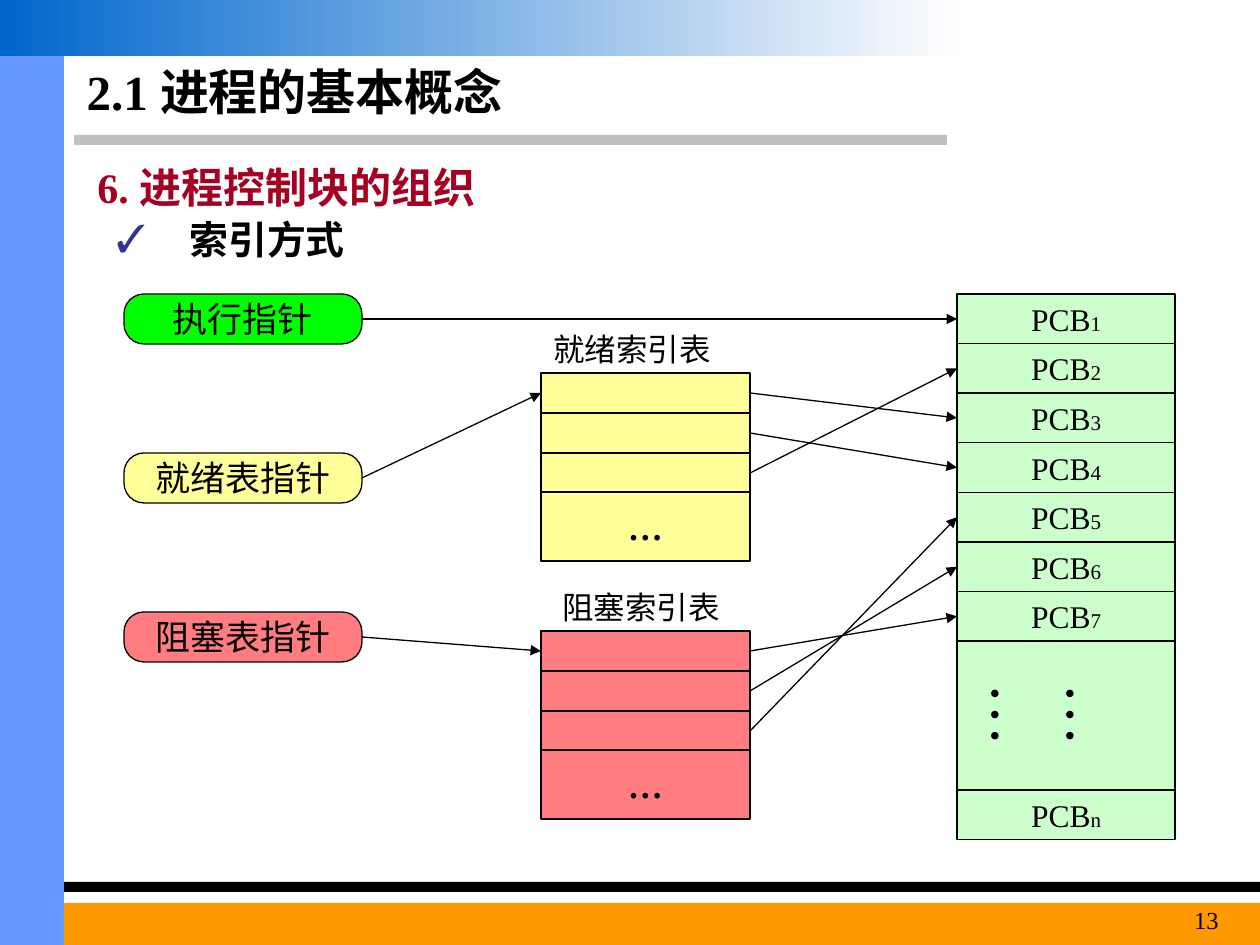
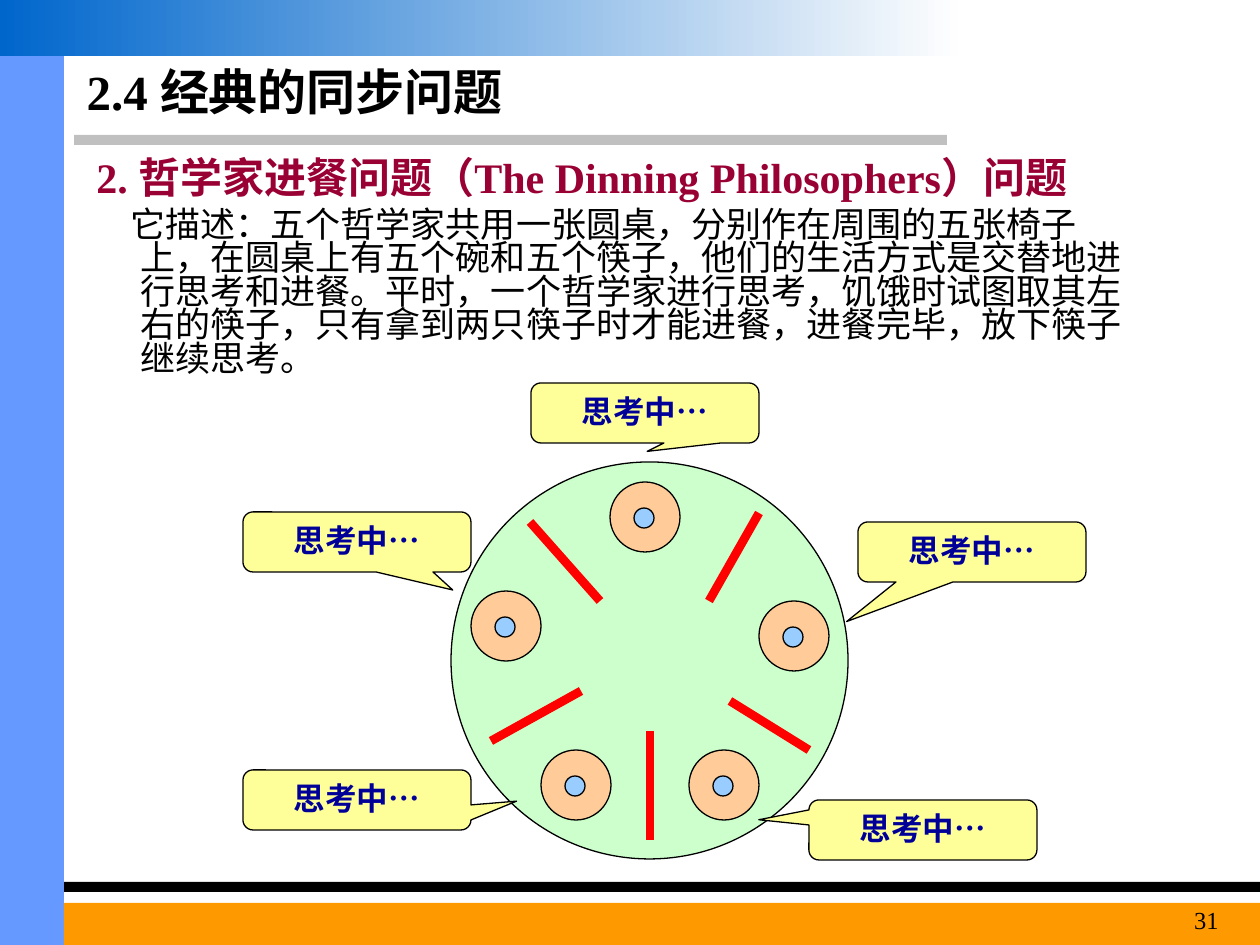
import pptx
import pptx.util
import pptx.dml.color
import pptx.enum.shapes
import pptx.enum.text
import pptx.oxml
import pptx.oxml.ns
import lxml.etree

SCALE = 914400 / 126
KIND = pptx.enum.shapes.MSO_SHAPE
ALIGN = pptx.enum.text.PP_ALIGN
MID = pptx.enum.text.MSO_ANCHOR.MIDDLE
TOP = pptx.enum.text.MSO_ANCHOR.TOP
FONT = "Times New Roman"
HEX = {
    "black": "000000", "gray": "C0C0C0", "side": "6699FF", "orange": "FF9900",
    "blue": "0066CC", "white": "FEFEFE", "tick": "333399", "wine": "A50021",
    "plum": "990033", "navy": "000099", "lime": "00FF00", "yellow": "FFFF99",
    "pink": "FF7C80", "mint": "CCFFCC", "peach": "FFCC99", "sky": "99CCFF",
    "red": "FF0000",
}
RGB = {name: pptx.dml.color.RGBColor.from_string(code) for name, code in HEX.items()}


def put(slide, kind, box, fill=None, text="", size=18, color="black",
        bold=False, align=ALIGN.CENTER, font=FONT, line=True):
    place = [round(n * SCALE) for n in box]
    if kind is None:
        shape = slide.shapes.add_textbox(*place)
    else:
        shape = slide.shapes.add_shape(kind, *place)
        shape.shadow.inherit = False
        shape.fill.solid()
        shape.fill.fore_color.rgb = RGB[fill]
        if line:
            shape.line.color.rgb = RGB["black"]
            shape.line.width = pptx.util.Pt(0.75)
        else:
            shape.line.fill.background()
    if text:
        frame = shape.text_frame
        frame.text = text
        frame.word_wrap = True
        frame.vertical_anchor = MID if kind else TOP
        para = frame.paragraphs[0]
        para.alignment = align
        face = para.runs[0].font
        face.name, face.size, face.bold = font, pptx.util.Pt(size), bold
        face.color.rgb = RGB[color]
    return shape


def link(slide, ends, color="black", width=0.75, arrow=True):
    line = slide.shapes.add_connector(
        pptx.enum.shapes.MSO_CONNECTOR.STRAIGHT, *[round(n * SCALE) for n in ends])
    line.line.color.rgb = RGB[color]
    line.line.width = pptx.util.Pt(width)
    if arrow:
        tail = lxml.etree.SubElement(line.line._get_or_add_ln(), pptx.oxml.ns.qn("a:tailEnd"))
        tail.set("type", "triangle")
    lxml.etree.SubElement(line._element.spPr, pptx.oxml.ns.qn("a:effectLst"))


deck = pptx.Presentation()
deck.slide_width = round(1260 * SCALE)
deck.slide_height = round(945 * SCALE)

BANDS = [
    ((74, 135, 873, 10), "gray"), ((0, 882, 1260, 10), "black"),
    ((0, 56, 64, 889), "side"), ((64, 903, 1196, 42), "orange"),
    ((0, 0, 958, 56), "blue"),
]
PAGES = [
    ("2.1 进程的基本概念", "13", "6. 进程控制块的组织", 85, 155, "wine"),
    ("2.4 经典的同步问题", "31", "2. 哲学家进餐问题（The Dinning Philosophers）问题", 84, 145, "plum"),
]
slides = []
for title, page, head, left, top, color in PAGES:
    slide = deck.slides.add_slide(deck.slide_layouts[5])
    slides.append(slide)
    for box, fill in BANDS:
        band = put(slide, KIND.RECTANGLE, box, fill, line=False)
    band.fill.gradient()
    band.fill.gradient_angle = 0
    for stop, shade in zip(band.fill.gradient_stops, ("blue", "white")):
        stop.color.rgb = RGB[shade]
    name = slide.shapes.title
    name.left, name.top, name.width, name.height = [round(n * SCALE) for n in (74, 56, 900, 70)]
    frame = name.text_frame
    frame.text = title
    frame.auto_size = pptx.enum.text.MSO_AUTO_SIZE.NONE
    frame.vertical_anchor = MID
    frame.paragraphs[0].alignment = ALIGN.LEFT
    face = frame.paragraphs[0].runs[0].font
    face.name, face.size, face.bold = FONT, pptx.util.Pt(28), True
    face.color.rgb = RGB["black"]
    put(slide, None, (left, top, 1060, 63), text=head, size=24, color=color,
        bold=True, align=ALIGN.LEFT)
    put(slide, None, (1116, 899, 115, 45), text=page, size=14, align=ALIGN.RIGHT)

index, table = slides

mode = put(index, None, (104, 215, 397, 59), text="索引方式", size=22.2, bold=True, align=ALIGN.LEFT)
para = mode.text_frame.paragraphs[0]
para.line_spacing = 0.9
props = para._p.get_or_add_pPr()
props.set("marL", str(round(73 * SCALE)))
props.set("indent", str(round(-73 * SCALE)))
space = pptx.oxml.ns.nsdecls("a")
for part in (f'<a:buClr {space}><a:srgbClr val="{HEX["tick"]}"/></a:buClr>',
             f'<a:buFont {space} typeface="{FONT}"/>',
             f'<a:buChar {space} char="✓"/>'):
    props.append(pptx.oxml.parse_xml(part))

ROW = 49.6
PCB = 294
for slot, mark in [*enumerate("1234567"), (10, "n")]:
    cell = put(index, KIND.RECTANGLE, (957, PCB + slot * ROW, 218, ROW), "mint", "PCB")
    run = cell.text_frame.paragraphs[0].add_run()
    run.text = mark
    run.font.name, run.font.size = FONT, pptx.util.Pt(12)
    run.font.color.rgb = RGB["black"]
put(index, KIND.RECTANGLE, (957, PCB + 7 * ROW, 218, 3 * ROW), "mint")
dots = put(index, None, (974, 671, 163, 149), text="……", size=36)
dots.element.txBody.bodyPr.set("vert", "eaVert")

POINTS = [("执行指针", "lime", 957, 319), ("就绪表指针", "yellow", 541, 393),
          ("阻塞表指针", "pink", 541, 651)]
for step, (text, fill, right, aim) in enumerate(POINTS):
    top = 294 + 159 * step
    pill = put(index, KIND.ROUNDED_RECTANGLE, (124, top, 238, 50), fill, text, 20)
    pill.adjustments[0] = 0.4
    link(index, (362, top + 25, right, aim))

LISTS = [("就绪索引表", "yellow", 373, 541, 324, (2, 3, 1)),
         ("阻塞索引表", "pink", 631, 550, 582, (6, 5, 4))]
for text, fill, top, left, high, goals in LISTS:
    put(index, None, (left, high, 198, 50), text=text, align=ALIGN.LEFT)
    for row, goal in enumerate(goals):
        y = top + 40 * row
        put(index, KIND.RECTANGLE, (541, y, 209, 40), fill)
        link(index, (750, y + 20, 957, PCB + (goal + 0.5) * ROW))
    put(index, KIND.RECTANGLE, (541, top + 119, 209, 69), fill, "…", 20, bold=True)

story = put(
    table, None, (55, 204, 1091, 198), size=20, font="Arial", align=ALIGN.LEFT,
    text="它描述：五个哲学家共用一张圆桌，分别作在周围的五张椅子上，在圆桌上有五个碗和五个筷子，"
         "他们的生活方式是交替地进行思考和进餐。平时，一个哲学家进行思考，饥饿时试图取其左右的筷子，"
         "只有拿到两只筷子时才能进餐，进餐完毕，放下筷子继续思考。")
para = story.text_frame.paragraphs[0]
para.line_spacing = 0.8
props = para._p.get_or_add_pPr()
props.set("marL", str(round(73 * SCALE)))
props.set("indent", str(round(-10 * SCALE)))
props.set("hangingPunct", "0")

put(table, KIND.OVAL, (451, 462, 397, 397), "mint")
for x, y in [(759, 601), (610, 482), (471, 591), (541, 750), (689, 750)]:
    put(table, KIND.OVAL, (x, y, 70, 70), "peach")
    put(table, KIND.OVAL, (x + 24, y + 26, 20, 20), "sky")
CALLS = [(858, 522, -0.55, 1.16), (531, 383, 0.01, 0.64), (243, 512, 0.42, 0.8),
         (243, 770, 0.7, 0.02), (809, 800, -0.72, -0.17)]
for x, y, across, down in CALLS:
    call = put(table, KIND.ROUNDED_RECTANGULAR_CALLOUT, (x, y, 228, 60), "yellow",
               "思考中…", color="navy", bold=True)
    call.text_frame.vertical_anchor = TOP
    call.adjustments[0], call.adjustments[1] = across, down
STICKS = [(530, 522, 600, 601), (491, 741, 581, 691), (650, 731, 650, 840),
          (730, 701, 809, 750), (759, 513, 709, 601)]
for ends in STICKS:
    link(table, ends, "red", 5, arrow=False)

deck.save("out.pptx")
